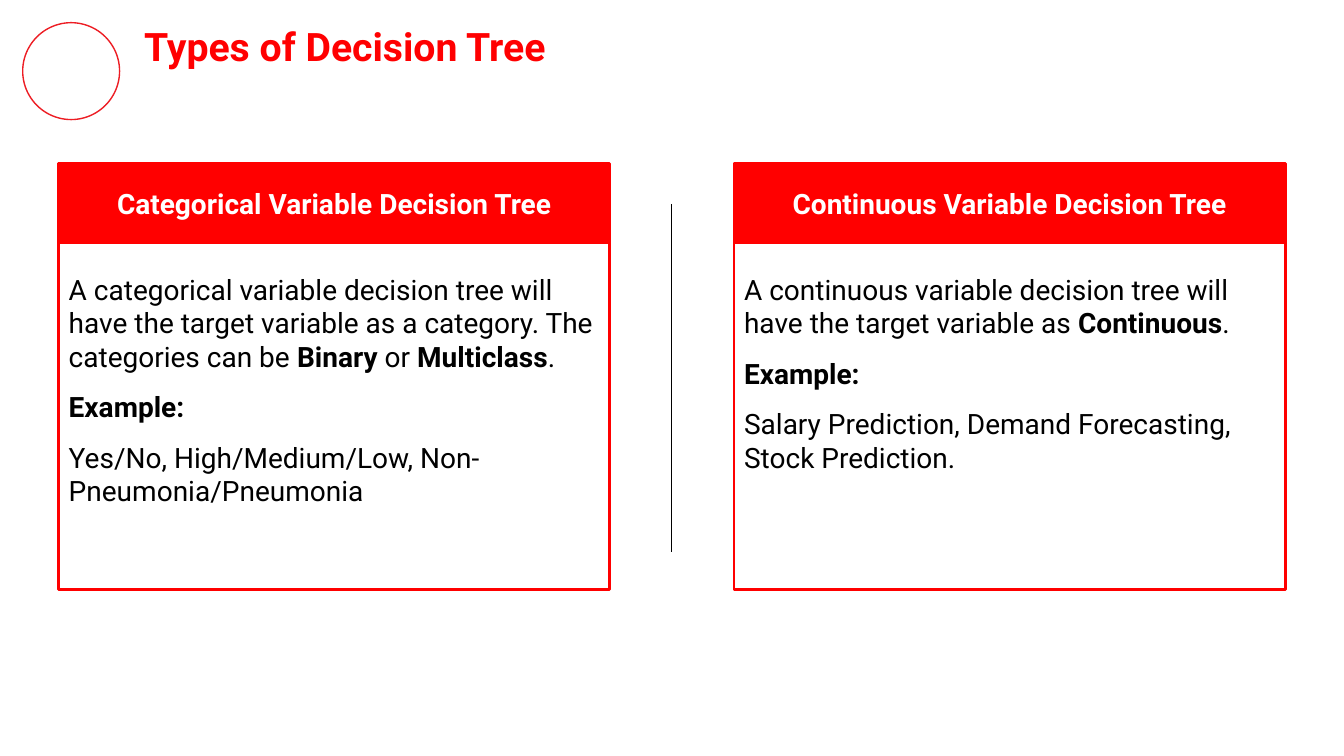
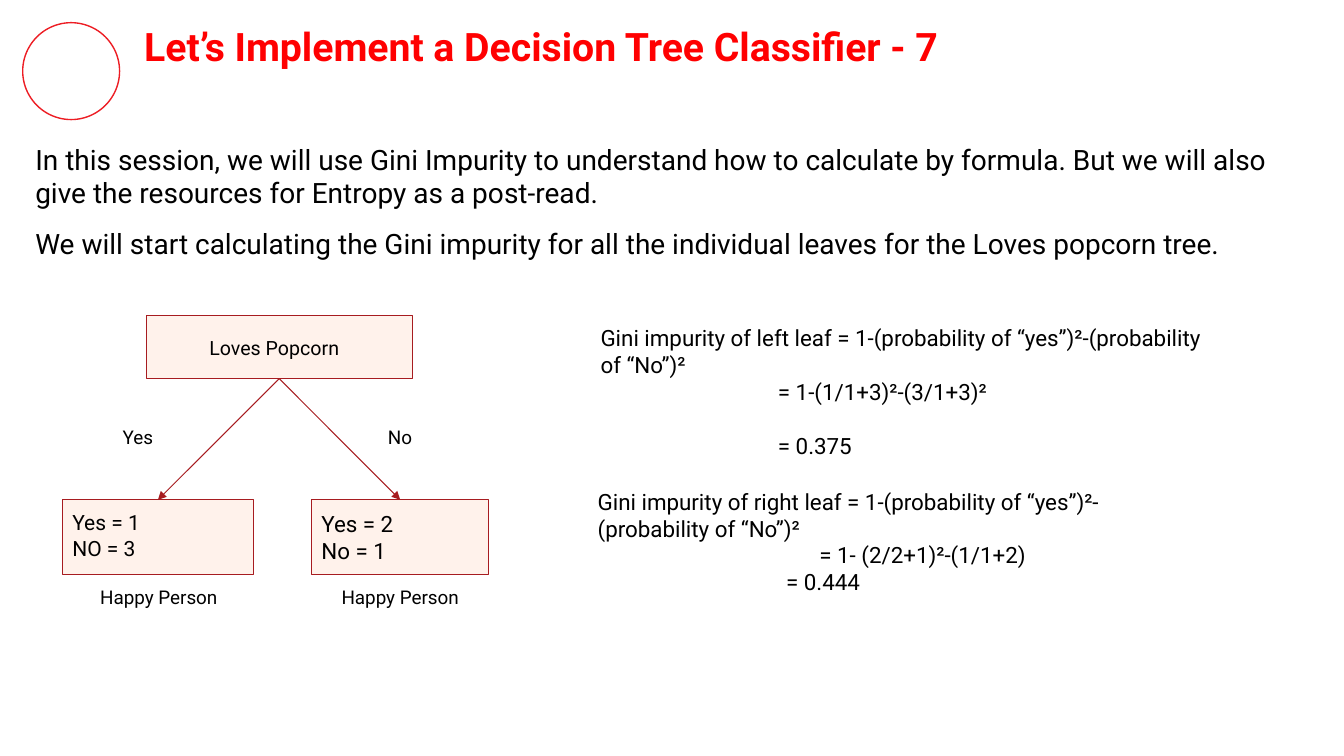
from collections.abc import Sequence
from dataclasses import dataclass

from lxml import etree
from pptx import Presentation
from pptx import util as u
from pptx.dml.color import RGBColor
from pptx.enum import shapes, text
from pptx.oxml import ns
from pptx.shapes.autoshape import Shape
from pptx.shapes.base import BaseShape
from pptx.slide import Slide

FONT = "Roboto"
COLORS = {
    "title": "FF0001",
    "panel": "FF0000",
    "ring": "ED1D24",
    "node": "FFF2EB",
    "node_line": "A71C20",
    "black": "000000",
    "white": "FFFFFF",
}
INSET = 7.2
CENTER, LEFT = text.PP_ALIGN.CENTER, text.PP_ALIGN.LEFT
TOP, MIDDLE = text.MSO_ANCHOR.TOP, text.MSO_ANCHOR.MIDDLE


@dataclass(frozen=True)
class Box:
    left: float
    top: float
    width: float
    height: float

    def lengths(self) -> tuple[u.Length, ...]:
        return tuple(u.Pt(v) for v in (self.left, self.top, self.width, self.height))


@dataclass(frozen=True)
class Line:
    """One paragraph; words between ** marks are bold."""

    text: str
    indent: float = 0
    space_before: float = 0


@dataclass(frozen=True)
class Panel:
    heading: str
    center: float
    lines: tuple[Line, ...]


@dataclass(frozen=True)
class Leaf:
    box: Box
    size: float
    lines: tuple[Line, ...]
    caption: Box
    branch: str
    branch_left: float


@dataclass(frozen=True)
class Formula:
    box: Box
    lines: tuple[Line, ...]


PANEL_WIDTH = 393.8
PANELS = (
    Panel("Categorical Variable Decision Tree", 238.8, (
        Line("A categorical variable decision tree will have the target variable as a "
             "category. The categories can be **Binary** or **Multiclass**."),
        Line("**Example:**"),
        Line("Yes/No, High/Medium/Low, Non-Pneumonia/Pneumonia"),
    )),
    Panel("Continuous Variable Decision Tree", 721.2, (
        Line("A continuous variable decision tree will have the target variable as "
             "**Continuous**."),
        Line("**Example:**"),
        Line("Salary Prediction, Demand Forecasting, Stock Prediction."),
    )),
)

INTRODUCTION = (
    Line("In this session, we will use Gini Impurity to understand how to calculate by "
         "formula. But we will also give the resources for Entropy as a post-read."),
    Line("We will start calculating the Gini impurity for all the individual leaves for "
         "the Loves popcorn tree."),
)
ROOT = Box(104.4, 225.5, 190.1, 45)
LEAVES = (
    Leaf(Box(44.6, 357, 136.4, 53.5), 15, (Line("Yes = 1"), Line("NO = 3")),
         Box(41.8, 414, 143.3, 27.4), "Yes", 80.6),
    Leaf(Box(222.5, 357, 126.7, 53.5), 16, (Line("Yes = 2"), Line("No = 1")),
         Box(222.5, 414, 126.7, 27.4), "No", 270),
)
FORMULAS = (
    Formula(Box(421.9, 224.6, 446.4, 104.4), (
        Line("Gini impurity of left leaf = 1-(probability of “yes”)²-(probability of “No”)²"),
        Line("= 1-(1/1+3)²-(3/1+3)²", indent=126.7),
        Line("= 0.375", indent=126.7, space_before=19),
    )),
    Formula(Box(419.8, 341.3, 450, 136), (
        Line("Gini impurity of right leaf = 1-(probability of “yes”)²-(probability of “No”)²"),
        Line("= 1- (2/2+1)²-(1/1+2)", indent=158.4),
        Line("= 0.444", indent=134.6),
    )),
)


def rgb(name: str) -> RGBColor:
    return RGBColor.from_string(COLORS[name])


def place(shape: BaseShape, box: Box) -> None:
    shape.left, shape.top, shape.width, shape.height = box.lengths()


def write_text(
    shape: Shape,
    lines: Sequence[Line],
    *,
    size: float,
    color: str = "black",
    bold: bool = False,
    align: text.PP_ALIGN = LEFT,
    anchor: text.MSO_ANCHOR = TOP,
    line_spacing: float = 1.0,
    space_after: float = 0,
) -> None:
    frame = shape.text_frame
    frame.word_wrap = True
    frame.auto_size = text.MSO_AUTO_SIZE.NONE
    frame.vertical_anchor = anchor
    frame.margin_left = frame.margin_right = u.Pt(INSET)
    frame.margin_top = frame.margin_bottom = u.Pt(INSET)
    for number, line in enumerate(lines):
        paragraph = frame.add_paragraph() if number else frame.paragraphs[0]
        paragraph.alignment = align
        paragraph.line_spacing = line_spacing
        paragraph.space_before = u.Pt(line.space_before)
        paragraph.space_after = u.Pt(space_after)
        properties = paragraph._p.get_or_add_pPr()
        properties.set("marL", str(u.Pt(line.indent)))
        properties.set("indent", "0")
        etree.SubElement(properties, ns.qn("a:buNone"))
        for part, words in enumerate(line.text.split("**")):
            if not words:
                continue
            run = paragraph.add_run()
            run.text = words
            run.font.name = FONT
            run.font.size = u.Pt(size)
            run.font.bold = bold or part % 2 == 1
            run.font.color.rgb = rgb(color)


def add_outlined(
    slide: Slide,
    box: Box,
    *,
    line: str,
    line_width: float,
    fill: str | None = None,
    kind: shapes.MSO_SHAPE = shapes.MSO_SHAPE.RECTANGLE,
) -> Shape:
    shape = slide.shapes.add_shape(kind, *box.lengths())
    shape.shadow.inherit = False
    if fill:
        shape.fill.solid()
        shape.fill.fore_color.rgb = rgb(fill)
    else:
        shape.fill.background()
    shape.line.color.rgb = rgb(line)
    shape.line.width = u.Pt(line_width)
    return shape


def add_label(slide: Slide, box: Box, words: str, align: text.PP_ALIGN = LEFT) -> None:
    label = slide.shapes.add_textbox(*box.lengths())
    write_text(label, [Line(words)], size=13.5, align=align, line_spacing=0.8)


def add_line(
    slide: Slide,
    start: tuple[float, float],
    end: tuple[float, float],
    *,
    color: str,
    arrow: bool = False,
):
    points = (u.Pt(v) for v in (*start, *end))
    connector = slide.shapes.add_connector(shapes.MSO_CONNECTOR.STRAIGHT, *points)
    connector.line.color.rgb = rgb(color)
    connector.line.width = u.Pt(0.75)
    if arrow:
        etree.SubElement(connector.line._get_or_add_ln(), ns.qn("a:tailEnd"), type="triangle")
    etree.SubElement(connector.element.spPr, ns.qn("a:effectLst"))
    return connector


def add_slide(presentation, layout: str, title: str) -> Slide:
    slide = presentation.slides.add_slide(presentation.slide_layouts.get_by_name(layout))
    place(slide.shapes.title, Box(95.8, 8.6, 805, 48.2))
    write_text(slide.shapes.title, [Line(title)], size=28, color="title", bold=True)
    return slide


def add_master_ring(presentation, slide: Slide) -> None:
    """Draw the corner ring and move it to the master, so every slide shows it."""
    ring = add_outlined(slide, Box(16.2, 16.2, 69.2, 69.2), line="ring", line_width=1,
                        kind=shapes.MSO_SHAPE.OVAL)
    presentation.slide_master.element.cSld.spTree.append(ring.element)


def build_types_slide(presentation) -> None:
    slide = add_slide(presentation, "Two Content", "Types of Decision Tree")
    add_master_ring(presentation, slide)
    bodies = list(slide.placeholders)[1:]
    for panel, body in zip(PANELS, bodies):
        left = panel.center - PANEL_WIDTH / 2
        add_outlined(slide, Box(left, 173.5, PANEL_WIDTH, 247.7), line="panel", line_width=2)
        header = add_outlined(slide, Box(left, 116.6, PANEL_WIDTH, 56.9),
                              line="panel", line_width=2, fill="panel")
        write_text(header, [Line(panel.heading)], size=20, color="white", bold=True,
                   align=CENTER, anchor=MIDDLE)
        place(body, Box(left, 187.2, PANEL_WIDTH, 210.2))
        write_text(body, panel.lines, size=20, space_after=12)
    add_line(slide, (480, 145.6), (480, 394.4), color="black")


def build_classifier_slide(presentation) -> None:
    slide = add_slide(presentation, "Title and Content",
                      "Let’s Implement a Decision Tree Classifier - 7")
    body = slide.placeholders[1]
    place(body, Box(18, 87.8, 924.5, 111.6))
    write_text(body, INTRODUCTION, size=20, anchor=MIDDLE, space_after=12)

    for formula in FORMULAS:
        write_text(slide.shapes.add_textbox(*formula.box.lengths()), formula.lines, size=16)

    node_style = {"line": "node_line", "line_width": 0.75, "fill": "node"}
    root = add_outlined(slide, ROOT, **node_style)
    write_text(root, [Line("Loves Popcorn", indent=38)], size=14, anchor=MIDDLE)
    for leaf in LEAVES:
        node = add_outlined(slide, leaf.box, **node_style)
        write_text(node, leaf.lines, size=leaf.size)
        arrow = add_line(slide, (0, 0), (1, 1), color="node_line", arrow=True)
        arrow.begin_connect(root, 2)
        arrow.end_connect(node, 0)
        add_label(slide, Box(leaf.branch_left, 300.2, 49.7, 27.4), leaf.branch)
        add_label(slide, leaf.caption, "Happy Person", CENTER)


def main() -> None:
    presentation = Presentation()
    presentation.slide_width, presentation.slide_height = u.Pt(960), u.Pt(540)
    build_types_slide(presentation)
    build_classifier_slide(presentation)
    presentation.save("out.pptx")


if __name__ == "__main__":
    main()
